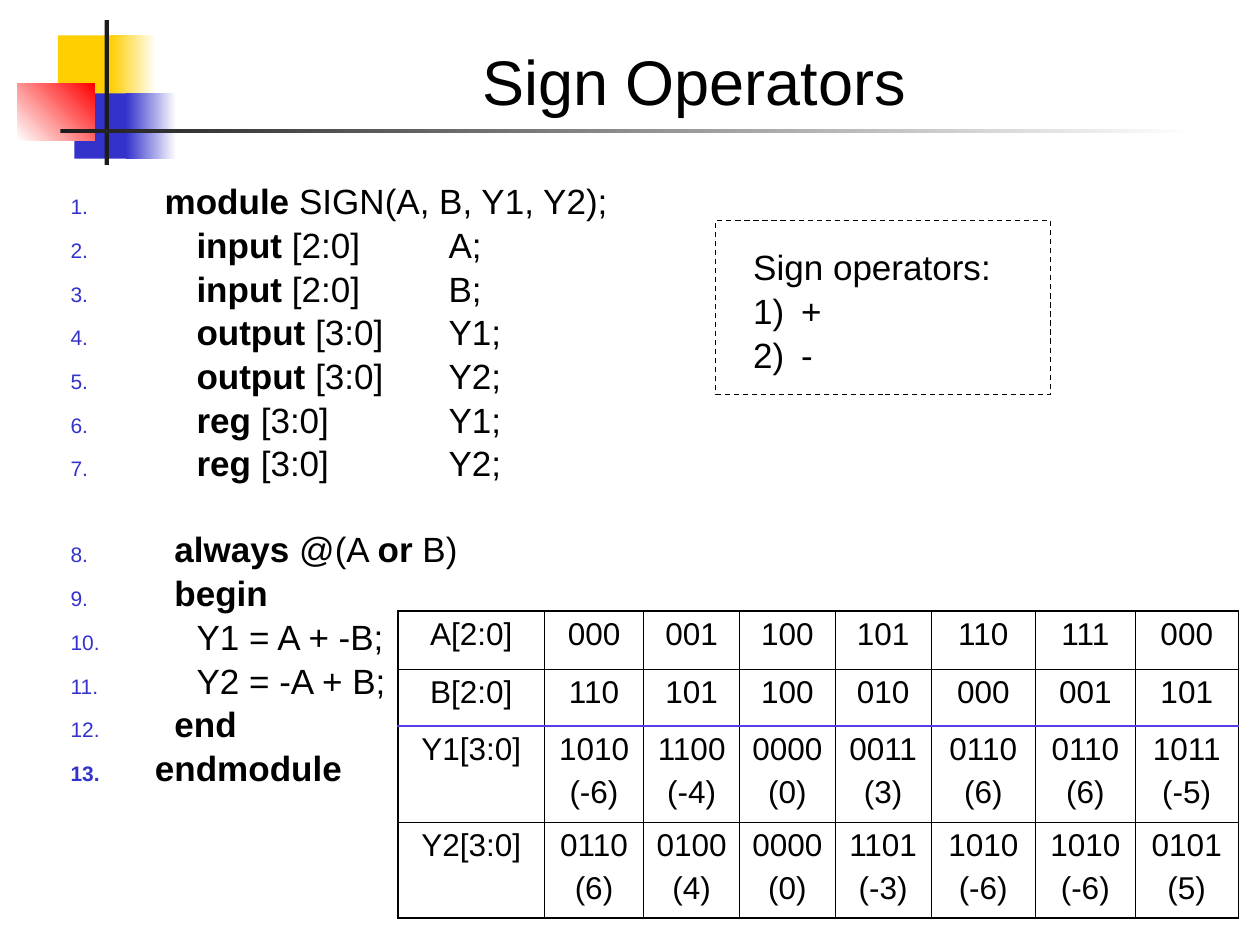
from lxml import etree
from pptx import Presentation, util as u
from pptx.dml.color import RGBColor
from pptx.enum import dml, shapes, text
from pptx.oxml import ns

BLACK = RGBColor(0x00, 0x00, 0x00)
WHITE = RGBColor(0xFF, 0xFF, 0xFF)
COAL = RGBColor(0x1C, 0x1C, 0x1C)
GOLD = RGBColor(0xFF, 0xCF, 0x01)
BLUE = RGBColor(0x33, 0x33, 0xCC)
RED = RGBColor(0xFF, 0x00, 0x00)
VIOLET = RGBColor(0x59, 0x3C, 0xE8)

deck = Presentation()
deck.slide_width, deck.slide_height = u.Inches(10), u.Inches(7.5)
# Grid of 100 columns by 75 rows
COL, ROW = deck.slide_width / 100, deck.slide_height / 75
slide = deck.slides.add_slide(deck.slide_layouts[1])


def grid(x, y, w, h):
    """Turn grid columns and rows into left, top, width, height."""
    return [u.Emu(round(n * size)) for n, size in zip((x, y, w, h), (COL, ROW) * 2)]


def write(par, words, size, bold=False):
    run = par.add_run()
    run.text = words
    font = run.font
    font.name, font.size, font.bold = "Arial", u.Pt(size), bold
    font.color.rgb = BLACK


# Corner blocks and rules: place, first colour, last colour, angle
decor = [
    ((4.6, 2.8, 4.8, 5.2), GOLD, GOLD, 0),
    ((8.8, 2.8, 3.6, 5.2), GOLD, WHITE, 0),
    ((5.9, 7.4, 4.6, 5.2), BLUE, BLUE, 0),
    ((10, 7.4, 4, 5.2), BLUE, WHITE, 0),
    ((1.4, 6.6, 6.1, 4.6), WHITE, RED, 45),
    ((8.3, 1.6, 0.35, 11.5), COAL, COAL, 0),
    ((4.8, 10.2, 90, 0.35), COAL, WHITE, 0),
]
for place, first, last, angle in decor:
    block = slide.shapes.add_shape(shapes.MSO_SHAPE.RECTANGLE, *grid(*place))
    block.shadow.inherit = False
    block.line.fill.background()
    if first == last:
        block.fill.solid()
        block.fill.fore_color.rgb = first
    else:
        block.fill.gradient()
        block.fill.gradient_angle = angle
        for stop, tint, spot in zip(block.fill.gradient_stops, (first, last), (0, 1)):
            stop.color.rgb, stop.position = tint, spot

# Title
title = slide.shapes.title
title.left, title.top, title.width, title.height = grid(12.5, 1.5, 85.2, 8.4)
frame = title.text_frame
frame.auto_size = text.MSO_AUTO_SIZE.NONE
frame.vertical_anchor = text.MSO_ANCHOR.BOTTOM
frame.paragraphs[0].alignment = text.PP_ALIGN.CENTER
write(frame.paragraphs[0], "Sign Operators", 36)

# Numbered code; every second part of a line is a bold keyword
code = [
    (" ", "module", " SIGN(A, B, Y1, Y2);"),
    ("\t", "input", " [2:0]\tA;"),
    ("\t", "input", " [2:0]\tB;"),
    ("\t", "output", " [3:0]\tY1;"),
    ("\t", "output", " [3:0]\tY2;"),
    ("\t", "reg", " [3:0]\tY1;"),
    ("\t", "reg", " [3:0]\tY2;"),
    ("  ", "always", " @(A ", "or", " B)"),
    ("  ", "begin"),
    ("\tY1 = A + -B;",),
    ("\tY2 = -A + B;",),
    ("  ", "end"),
    ("", "endmodule"),
]
body = slide.placeholders[1]
body.left, body.top, body.width, body.height = grid(4.6, 14.4, 62.3, 55.8)
frame = body.text_frame
frame.auto_size = text.MSO_AUTO_SIZE.NONE
for i, parts in enumerate(code):
    par = frame.paragraphs[0] if i == 0 else frame.add_paragraph()
    par.line_spacing = 0.8
    gap = 30 if parts[1:2] == ("always",) else 5.75
    par.space_before = u.Pt(gap if i else 0)
    props = par._p.get_or_add_pPr()
    props.set("marL", str(u.Inches(0.67)))
    props.set("indent", str(-u.Inches(0.67)))
    tint = etree.SubElement(props, ns.qn("a:buClr"))
    etree.SubElement(tint, ns.qn("a:srgbClr"), val=str(BLUE))
    etree.SubElement(props, ns.qn("a:buSzPct"), val="60000")
    etree.SubElement(props, ns.qn("a:buFont"), typeface="Arial")
    etree.SubElement(props, ns.qn("a:buAutoNum"), type="arabicPeriod")
    tabs = etree.SubElement(props, ns.qn("a:tabLst"))
    for n in range(1, 9):
        etree.SubElement(tabs, ns.qn("a:tab"), pos=str(u.Inches(n)), algn="l")
    for j, part in enumerate(parts):
        if part:
            write(par, part, 20, bold=j % 2 == 1)

# Dashed box and its list
box = slide.shapes.add_shape(shapes.MSO_SHAPE.RECTANGLE, *grid(56.8, 17.5, 26.6, 13.8))
box.shadow.inherit = False
box.fill.solid()
box.fill.fore_color.rgb = WHITE
box.line.color.rgb = BLACK
box.line.width = u.Pt(0.75)
box.line.dash_style = dml.MSO_LINE.DASH
frame = slide.shapes.add_textbox(*grid(58.8, 19, 24, 11)).text_frame
frame.word_wrap = True
for i, words in enumerate(("Sign operators:", "+", "-")):
    par = frame.paragraphs[0] if i == 0 else frame.add_paragraph()
    if i:
        par.space_before = u.Pt(1)
    props = par._p.get_or_add_pPr()
    props.set("marL", str(u.Inches(0.38)))
    props.set("indent", str(-u.Inches(0.38)))
    if i:
        etree.SubElement(props, ns.qn("a:buFont"), typeface="Arial")
        etree.SubElement(props, ns.qn("a:buAutoNum"), type="arabicParenR")
    write(par, words, 20)

# Truth table
rows = [
    "A[2:0] 000 001 100 101 110 111 000",
    "B[2:0] 110 101 100 010 000 001 101",
    "Y1[3:0] 1010(-6) 1100(-4) 0000(0) 0011(3) 0110(6) 0110(6) 1011(-5)",
    "Y2[3:0] 0110(6) 0100(4) 0000(0) 1101(-3) 1010(-6) 1010(-6) 0101(5)",
]
wide = [11.6, 7.9, 7.6, 7.6, 7.6, 8.3, 7.9, 8.2]
high = [4.6, 4.5, 7.6, 7.6]
table = slide.shapes.add_table(4, 8, *grid(31.6, 48.5, sum(wide), sum(high))).table
table.first_row = table.horz_banding = False
for c, w in enumerate(wide):
    table.columns[c].width = round(w * COL)
for r, line in enumerate(rows):
    table.rows[r].height = round(high[r] * ROW)
    for c, value in enumerate(line.split()):
        cell = table.cell(r, c)
        edges = {"L": c == 0, "R": c == 7, "T": r == 0, "B": r == 3}
        props = cell._tc.get_or_add_tcPr()
        for side, outer in edges.items():
            tint, thick = BLACK, 1.08 if outer else 0.45
            if (r, side) in ((1, "B"), (2, "T")):
                tint, thick = VIOLET, 1.47
            edge = etree.SubElement(props, ns.qn("a:ln" + side), w=str(u.Pt(thick)))
            fill = etree.SubElement(edge, ns.qn("a:solidFill"))
            etree.SubElement(fill, ns.qn("a:srgbClr"), val=str(tint))
        cell.fill.background()
        for i, words in enumerate(value.replace("(", " (").split()):
            par = cell.text_frame.paragraphs[0] if i == 0 else cell.text_frame.add_paragraph()
            par.alignment = text.PP_ALIGN.CENTER
            if i:
                par.space_before = u.Pt(4.5)
            write(par, words, 18)

deck.save("out.pptx")
